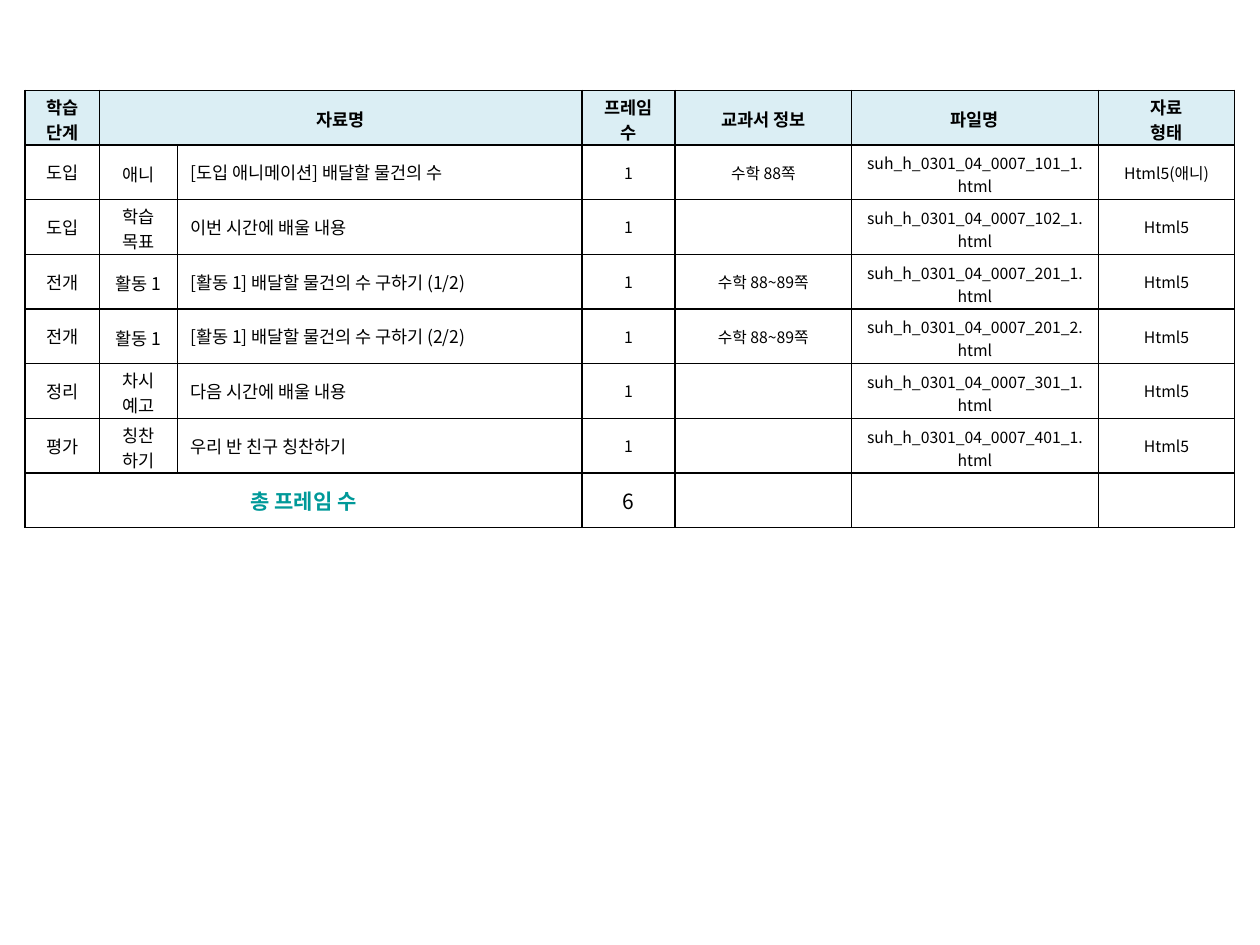
from dataclasses import dataclass

from lxml import etree
from pptx import Presentation
from pptx.dml.color import RGBColor
from pptx.enum.text import MSO_ANCHOR, PP_ALIGN
from pptx.oxml.ns import qn
from pptx.util import Pt

LEFT, CENTER = PP_ALIGN.LEFT, PP_ALIGN.CENTER
MIDDLE = MSO_ANCHOR.MIDDLE
BLANK = 6


@dataclass(frozen=True)
class Theme:
    font: str = "Noto Sans CJK KR"
    text: str = "000000"
    border: str = "000000"
    header_fill: str = "DBEEF4"
    total: str = "009999"
    body_size: int = 10
    detail_size: int = 9
    total_size: int = 12
    border_width: int = 1
    inset: float = 3.6


@dataclass(frozen=True)
class CellStyle:
    size: int
    color: str = Theme.text
    bold: bool = False
    align: PP_ALIGN = CENTER
    fill: str = ""
    top: float = Theme.inset
    bottom: float = Theme.inset


HEADER = CellStyle(Theme.body_size, bold=True, fill=Theme.header_fill, top=2, bottom=0)
BODY = CellStyle(Theme.body_size)
STAGE_PART = CellStyle(Theme.body_size, top=2, bottom=0)
TITLE = CellStyle(Theme.body_size, align=LEFT)
DETAIL = CellStyle(Theme.detail_size)
FILE_NAME = CellStyle(Theme.detail_size, bottom=1.2)
TOTAL_LABEL = CellStyle(Theme.total_size, color=Theme.total, bold=True)
TOTAL = CellStyle(Theme.total_size)

COLUMN_WIDTHS = [42.5, 44.6, 231.1, 53.2, 100.8, 141.1, 77.9]
ROW_HEIGHT = 31.24
COLUMN_STYLES = [BODY, STAGE_PART, TITLE, DETAIL, DETAIL, FILE_NAME, DETAIL]

HEADINGS = ["학습 단계", "자료명", "", "프레임 수", "교과서 정보", "파일명", "자료\n형태"]
# stage, part, title, textbook pages, file number, type
MATERIALS = [
    ("도입", "애니", "[도입 애니메이션] 배달할 물건의 수", "수학 88쪽", "101_1", "Html5(애니)"),
    ("도입", "학습 목표", "이번 시간에 배울 내용", "", "102_1", "Html5"),
    ("전개", "활동 1", "[활동 1] 배달할 물건의 수 구하기 (1/2)", "수학 88~89쪽", "201_1", "Html5"),
    ("전개", "활동 1", "[활동 1] 배달할 물건의 수 구하기 (2/2)", "수학 88~89쪽", "201_2", "Html5"),
    ("정리", "차시 예고", "다음 시간에 배울 내용", "", "301_1", "Html5"),
    ("평가", "칭찬\n하기", "우리 반 친구 칭찬하기", "", "401_1", "Html5"),
]


class SlideBuilder:
    def __init__(self, prs, theme):
        self.theme = theme
        self.slide = prs.slides.add_slide(prs.slide_layouts[BLANK])

    def table(self, left, top, widths, row_height, rows, merges):
        """Rows hold (text, style) pairs; merges hold (row, first column, last column)."""
        frame = self.slide.shapes.add_table(
            len(rows), len(widths), Pt(left), Pt(top),
            Pt(sum(widths)), Pt(row_height * len(rows)))
        table = frame.table
        table.first_row = table.horz_banding = False
        for column, width in zip(table.columns, widths):
            column.width = Pt(width)
        for i, row in enumerate(rows):
            table.rows[i].height = Pt(row_height)
            for j, (text, style) in enumerate(row):
                self.cell(table.cell(i, j), text, style)
        for row, first, last in merges:
            table.cell(row, first).merge(table.cell(row, last))

    def cell(self, cell, text, style):
        self.borders(cell)
        if style.fill:
            cell.fill.solid()
            cell.fill.fore_color.rgb = RGBColor.from_string(style.fill)
        else:
            cell.fill.background()
        cell.vertical_anchor = MIDDLE
        cell.margin_top, cell.margin_bottom = Pt(style.top), Pt(style.bottom)
        tf = cell.text_frame
        tf.text = text
        for p in tf.paragraphs:
            p.alignment = style.align
            for r in p.runs:
                self.format_run(r, style)
            if not p.runs:
                # keeps an empty cell from stretching its row
                etree.SubElement(p._p, qn("a:endParaRPr"), sz=str(style.size * 100))

    def format_run(self, r, style):
        r.font.name = self.theme.font
        r.font.size = Pt(style.size)
        r.font.bold = style.bold
        r.font.color.rgb = RGBColor.from_string(style.color)
        r.font.fill.solid()
        r.font.color.rgb = RGBColor.from_string(style.color)
        latin = r._r.get_or_add_rPr().find(qn("a:latin"))
        east_asian = etree.Element(qn("a:ea"), typeface=self.theme.font)
        latin.addnext(east_asian)

    def borders(self, cell):
        tc_pr = cell._tc.get_or_add_tcPr()
        for side in ("a:lnL", "a:lnR", "a:lnT", "a:lnB"):
            ln = etree.SubElement(tc_pr, qn(side), w=str(Pt(self.theme.border_width)))
            fill = etree.SubElement(ln, qn("a:solidFill"))
            etree.SubElement(fill, qn("a:srgbClr"), val=self.theme.border)


def material_row(stage, part, title, pages, number, kind):
    texts = [stage, part, title, "1", pages, f"suh_h_0301_04_0007_{number}.html", kind]
    return list(zip(texts, COLUMN_STYLES))


def main():
    prs = Presentation()
    prs.slide_width, prs.slide_height = Pt(720), Pt(540)
    s = SlideBuilder(prs, Theme())

    rows = [[(heading, HEADER) for heading in HEADINGS]]
    rows += [material_row(*material) for material in MATERIALS]
    rows.append([("총 프레임 수", TOTAL_LABEL), ("", TOTAL), ("", TOTAL),
                 (str(len(MATERIALS)), TOTAL)] + [("", DETAIL)] * 3)
    merges = [(0, 1, 2), (len(rows) - 1, 0, 2)]
    s.table(14.4, 51.6, COLUMN_WIDTHS, ROW_HEIGHT, rows, merges)

    prs.save("out.pptx")


if __name__ == "__main__":
    main()
